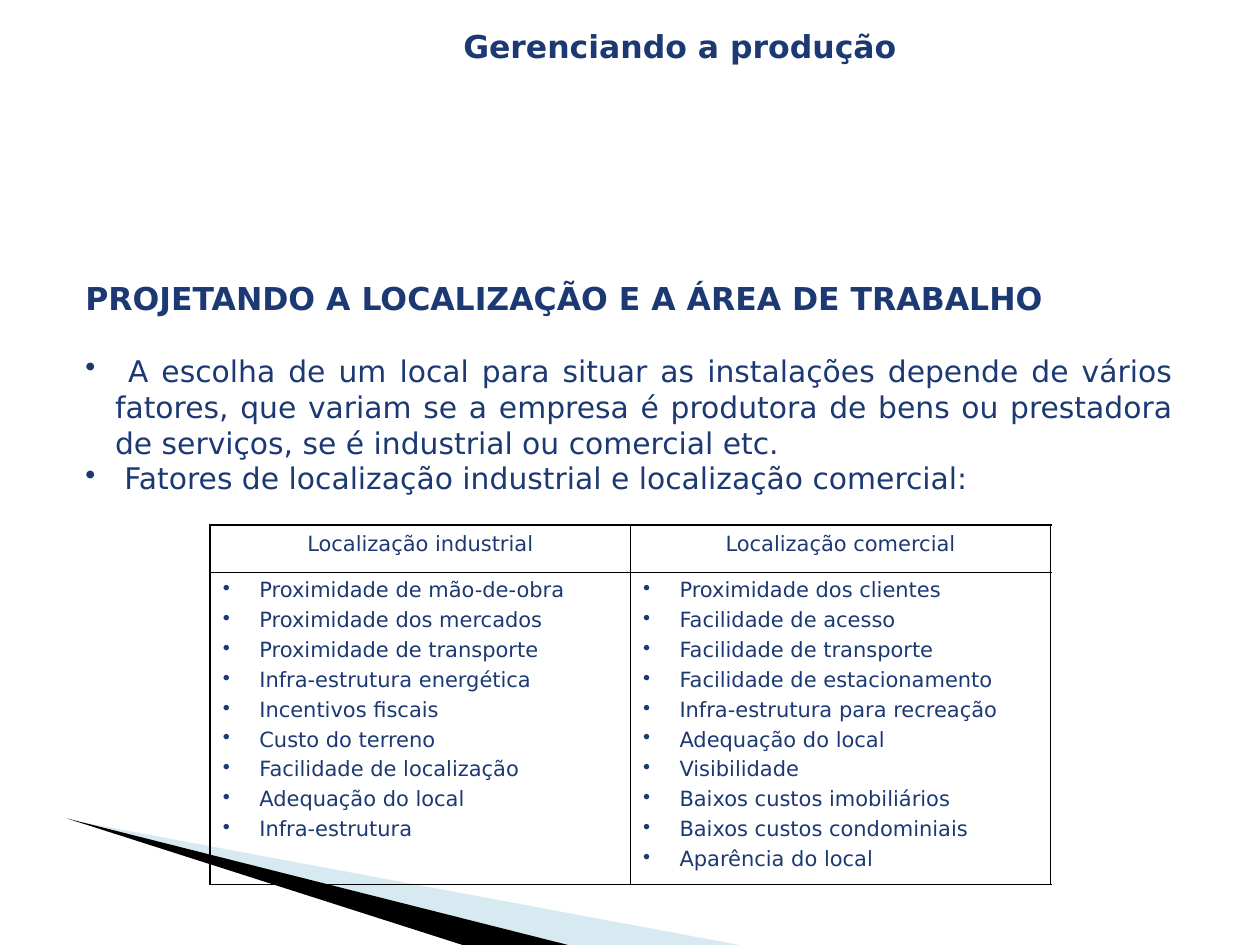
from lxml import etree
from pptx import Presentation
from pptx.dml.color import RGBColor
from pptx.enum.text import MSO_AUTO_SIZE, PP_ALIGN
from pptx.oxml.ns import qn
from pptx.util import Cm, Pt

FONT = "DejaVu Sans"
NAVY = "1C3974"
BLACK = "000000"
PALE_BLUE = "9FCBDC"
OUTER_LINE, INNER_LINE = 1.08, 0.45
BULLET_INDENT = 0.6

INTRO_HEADING = "PROJETANDO A LOCALIZAÇÃO E A ÁREA DE TRABALHO"
INTRO_POINTS = [
    " A escolha de um local para situar as instalações depende de vários fatores, "
    "que variam se a empresa é produtora de bens ou prestadora de serviços, "
    "se é industrial ou comercial etc.",
    " Fatores de localização industrial e localização comercial:",
]
LOCATION_FACTORS = {
    "Localização industrial": [
        " Proximidade de mão-de-obra",
        " Proximidade dos mercados",
        " Proximidade de transporte",
        " Infra-estrutura energética",
        " Incentivos fiscais",
        " Custo do terreno",
        " Facilidade de localização",
        " Adequação do local",
        " Infra-estrutura",
    ],
    "Localização comercial": [
        " Proximidade dos clientes",
        " Facilidade de acesso",
        " Facilidade de transporte",
        " Facilidade de estacionamento",
        " Infra-estrutura para recreação",
        " Adequação do local",
        " Visibilidade",
        " Baixos custos imobiliários",
        " Baixos custos condominiais",
        " Aparência do local",
    ],
}


def rgb(color):
    return RGBColor.from_string(color)


def add_bullet(paragraph):
    props = paragraph._p.get_or_add_pPr()
    props.set("marL", str(Cm(BULLET_INDENT)))
    props.set("indent", str(-Cm(BULLET_INDENT)))
    bullet_color = etree.SubElement(props, qn("a:buClr"))
    etree.SubElement(bullet_color, qn("a:srgbClr"), val=NAVY)
    etree.SubElement(props, qn("a:buChar"), char="•")


def write_paragraph(frame, text, size, bold=False, align=PP_ALIGN.LEFT,
                    bullet=False, gap=0):
    """Fill the frame's empty first paragraph, or add one after a gap in points."""
    paragraph = frame.paragraphs[0]
    if paragraph.runs:
        paragraph = frame.add_paragraph()
        paragraph.space_before = Pt(gap)
    if bullet:
        add_bullet(paragraph)
    paragraph.alignment = align
    paragraph.add_run().text = text
    font = paragraph.font
    font.name, font.size, font.bold = FONT, Pt(size), bold
    font.color.rgb = rgb(NAVY)


def add_text_frame(slide, left, top, width, height):
    frame = slide.shapes.add_textbox(Cm(left), Cm(top), Cm(width), Cm(height)).text_frame
    frame.word_wrap = True
    frame.auto_size = MSO_AUTO_SIZE.SHAPE_TO_FIT_TEXT
    return frame


def add_wedge(slide, left, top, width, height, heel, color, opacity=100):
    """Draw a triangle from the top left corner to the bottom edge; heel is its nearer foot."""
    builder = slide.shapes.build_freeform(Cm(left), Cm(top))
    builder.add_line_segments([
        (Cm(left + width), Cm(top + height)),
        (Cm(left + heel), Cm(top + height)),
    ])
    wedge = builder.convert_to_shape()
    wedge.shadow.inherit = False
    wedge.line.fill.background()
    wedge.fill.solid()
    wedge.fill.fore_color.rgb = rgb(color)
    if opacity < 100:
        fill_color = wedge._element.spPr.find(qn("a:solidFill"))[0]
        etree.SubElement(fill_color, qn("a:alpha"), val=str(opacity * 1000))


def add_corner_decoration(slide, left, top):
    add_wedge(slide, left + 0.05, top + 0.03, 13.72, 2.56, 10.19, PALE_BLUE, 40)
    add_wedge(slide, left, top, 10.26, 2.59, 8.1, BLACK)


def add_title(slide, left, top, width, height):
    frame = add_text_frame(slide, left, top, width, height)
    write_paragraph(frame, "Gerenciando a produção", 18, bold=True)


def add_intro(slide, left, top, width, height):
    frame = add_text_frame(slide, left, top, width, height)
    write_paragraph(frame, INTRO_HEADING, 18, bold=True, align=PP_ALIGN.JUSTIFY)
    for index, point in enumerate(INTRO_POINTS):
        write_paragraph(frame, point, 17, align=PP_ALIGN.JUSTIFY, bullet=True,
                        gap=20.4 if index == 0 else 0)


def set_borders(cell, **widths):
    props = cell._tc.get_or_add_tcPr()
    for side in "LRTB":
        line = etree.SubElement(props, qn(f"a:ln{side}"), w=str(Pt(widths[side])))
        fill = etree.SubElement(line, qn("a:solidFill"))
        etree.SubElement(fill, qn("a:srgbClr"), val=BLACK)


def add_factor_table(slide, left, top, width, height, header_height=0.94):
    columns = len(LOCATION_FACTORS)
    table = slide.shapes.add_table(
        2, columns, Cm(left), Cm(top), Cm(width), Cm(height)).table
    table.first_row = table.horz_banding = False
    table.rows[0].height = Cm(header_height)
    table.rows[1].height = Cm(height - header_height)

    for col, (heading, factors) in enumerate(LOCATION_FACTORS.items()):
        write_paragraph(table.cell(0, col).text_frame, heading, 12, align=PP_ALIGN.CENTER)
        for factor in factors:
            write_paragraph(table.cell(1, col).text_frame, factor, 12, bullet=True, gap=3)
        for row in range(2):
            cell = table.cell(row, col)
            set_borders(
                cell,
                L=OUTER_LINE if col == 0 else INNER_LINE,
                R=OUTER_LINE if col == columns - 1 else INNER_LINE,
                T=OUTER_LINE if row == 0 else INNER_LINE,
                B=OUTER_LINE if row == 1 else INNER_LINE,
            )
            cell.fill.background()


def main():
    presentation = Presentation()
    presentation.slide_width, presentation.slide_height = Cm(25.4), Cm(19.05)
    slide = presentation.slides.add_slide(presentation.slide_layouts[6])
    add_corner_decoration(slide, 1.35, 16.5)
    add_intro(slide, 1.47, 5.51, 22.43, 4.62)
    add_title(slide, 9.09, 0.43, 9.96, 1.02)
    add_factor_table(slide, 4.24, 10.59, 16.94, 7.24)
    presentation.save("out.pptx")


if __name__ == "__main__":
    main()
